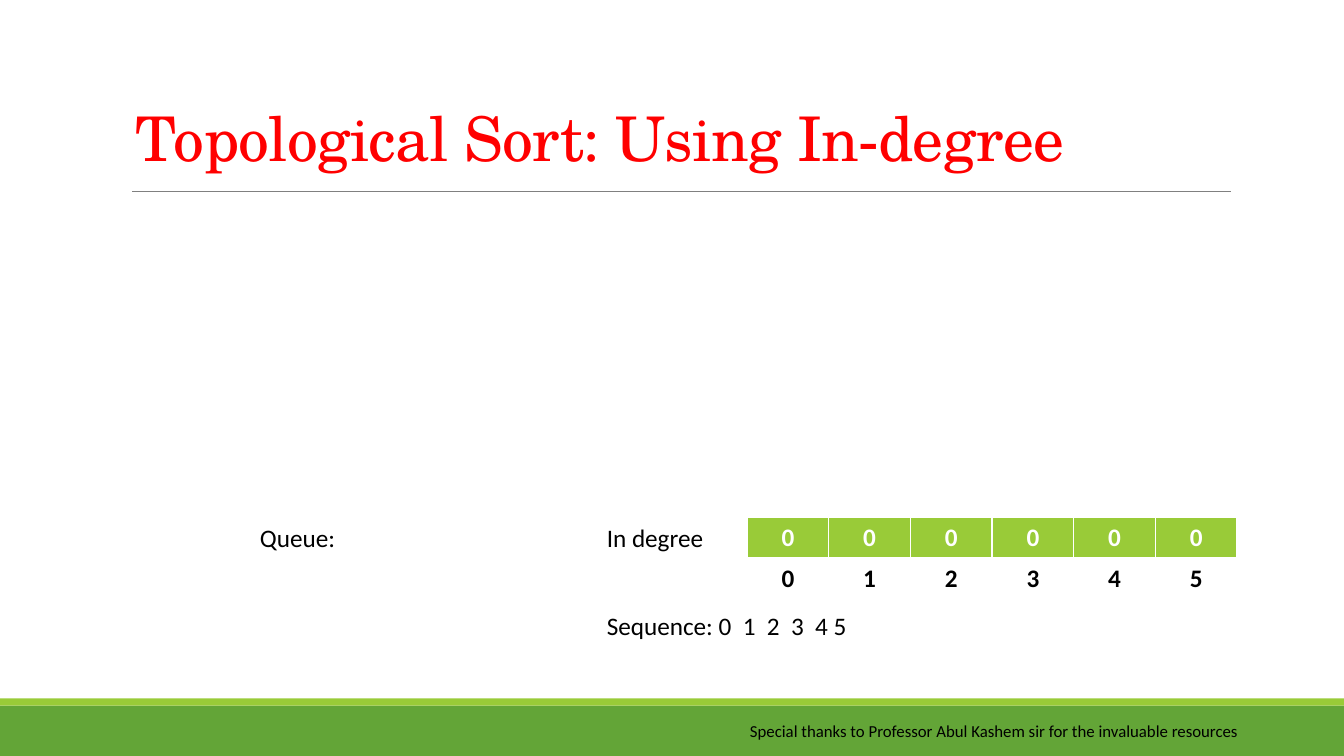
from lxml import etree
from pptx import Presentation
from pptx import util as u
from pptx.dml.color import RGBColor
from pptx.enum import shapes, text
from pptx.oxml import ns

RED = RGBColor(0xFF, 0x00, 0x00)
BLACK = RGBColor(0x00, 0x00, 0x00)
WHITE = RGBColor(0xFF, 0xFF, 0xFF)
GRAY = RGBColor(0x80, 0x80, 0x80)
GREEN = RGBColor(0x63, 0xA5, 0x37)
LIME = RGBColor(0x99, 0xCB, 0x38)

WIDTH, HEIGHT = 13.33, 7.5
TABLE_LEFT, TABLE_TOP = 7.41, 5.13
CELL_WIDTH, ROW_HEIGHT = 0.81, 0.41


def inches(*lengths):
    return [u.Inches(n) for n in lengths]


class SlideBuilder:
    """Adds elements in the deck's style to one slide."""

    body_font = "Calibri"
    title_font = "TeX Gyre Schola"

    def __init__(self, prs):
        self.s = prs.slides.add_slide(prs.slide_layouts[5])

    def format_font(self, font, size, color, name=body_font, bold=False):
        font.name, font.size, font.bold = name, u.Pt(size), bold
        font.color.rgb = color

    def title(self, words, left, top, width, height):
        sp = self.s.shapes.title
        sp.left, sp.top, sp.width, sp.height = inches(left, top, width, height)
        tf = sp.text_frame
        tf.text = words
        tf.auto_size = text.MSO_AUTO_SIZE.NONE
        tf.vertical_anchor = text.MSO_ANCHOR.BOTTOM
        p = tf.paragraphs[0]
        p.alignment = text.PP_ALIGN.LEFT
        p.line_spacing = 0.85
        self.format_font(p.font, 44, RED, self.title_font)
        p.runs[0].font._element.set("spc", "-50")

    def band(self, top, height, color):
        sp = self.s.shapes.add_shape(
            shapes.MSO_SHAPE.RECTANGLE, *inches(0, top, WIDTH, height))
        sp.shadow.inherit = False
        sp.fill.solid()
        sp.fill.fore_color.rgb = color
        sp.line.fill.background()

    def rule(self, left, right, y):
        line = self.s.shapes.add_connector(
            shapes.MSO_CONNECTOR.STRAIGHT, *inches(left, y, right, y))
        line.line.color.rgb = GRAY
        line.line.width = u.Pt(0.5)
        etree.SubElement(line._element.spPr, ns.qn("a:effectLst"))

    def label(self, words, left, top, width, height, size=18, wrap=False):
        sp = self.s.shapes.add_textbox(*inches(left, top, width, height))
        tf = sp.text_frame
        tf.text = words
        tf.word_wrap = wrap
        tf.auto_size = text.MSO_AUTO_SIZE.SHAPE_TO_FIT_TEXT
        self.format_font(tf.paragraphs[0].font, size, BLACK)

    def cell_borders(self, cell):
        """White edges, with a thicker one at the bottom."""
        tcPr = cell._tc.get_or_add_tcPr()
        for i, (side, points) in enumerate(
                [("lnL", 1), ("lnR", 1), ("lnT", 1), ("lnB", 3)]):
            ln = etree.Element(ns.qn(f"a:{side}"), w=str(u.Pt(points)))
            fill = etree.SubElement(ln, ns.qn("a:solidFill"))
            etree.SubElement(fill, ns.qn("a:srgbClr"), val=str(WHITE))
            tcPr.insert(i, ln)

    def number_row(self, values, top, fill, color):
        tbl = self.s.shapes.add_table(1, len(values), *inches(
            TABLE_LEFT, top, CELL_WIDTH * len(values), ROW_HEIGHT)).table
        for cell, value in zip(tbl.rows[0].cells, values):
            cell.text = str(value)
            cell.fill.solid()
            cell.fill.fore_color.rgb = fill
            self.cell_borders(cell)
            p = cell.text_frame.paragraphs[0]
            p.alignment = text.PP_ALIGN.CENTER
            self.format_font(p.font, 18, color, bold=True)


def main():
    prs = Presentation()
    prs.slide_width, prs.slide_height = inches(WIDTH, HEIGHT)
    slide = SlideBuilder(prs)

    slide.band(7, 0.5, GREEN)
    slide.band(6.93, 0.07, LIME)
    slide.rule(1.31, 12.21, 1.9)
    slide.title("Topological Sort: Using In-degree", 1.24, 0.19, 11.46, 1.59)
    slide.label("Special thanks to Professor Abul Kashem sir for the "
                "invaluable resources", 7.34, 7.1, 5.73, 0.3, size=12)

    slide.label("Queue:", 2.48, TABLE_TOP, 1.02, 0.4)
    slide.label("In degree", 5.92, TABLE_TOP, 1.23, 0.4)
    slide.number_row([0] * 6, TABLE_TOP, LIME, WHITE)
    slide.number_row(range(6), TABLE_TOP + ROW_HEIGHT, WHITE, BLACK)
    slide.label("Sequence: 0  1  2  3  4 5", 5.92, 6.01, 4.44, 0.4, wrap=True)

    prs.save("out.pptx")


if __name__ == "__main__":
    main()
